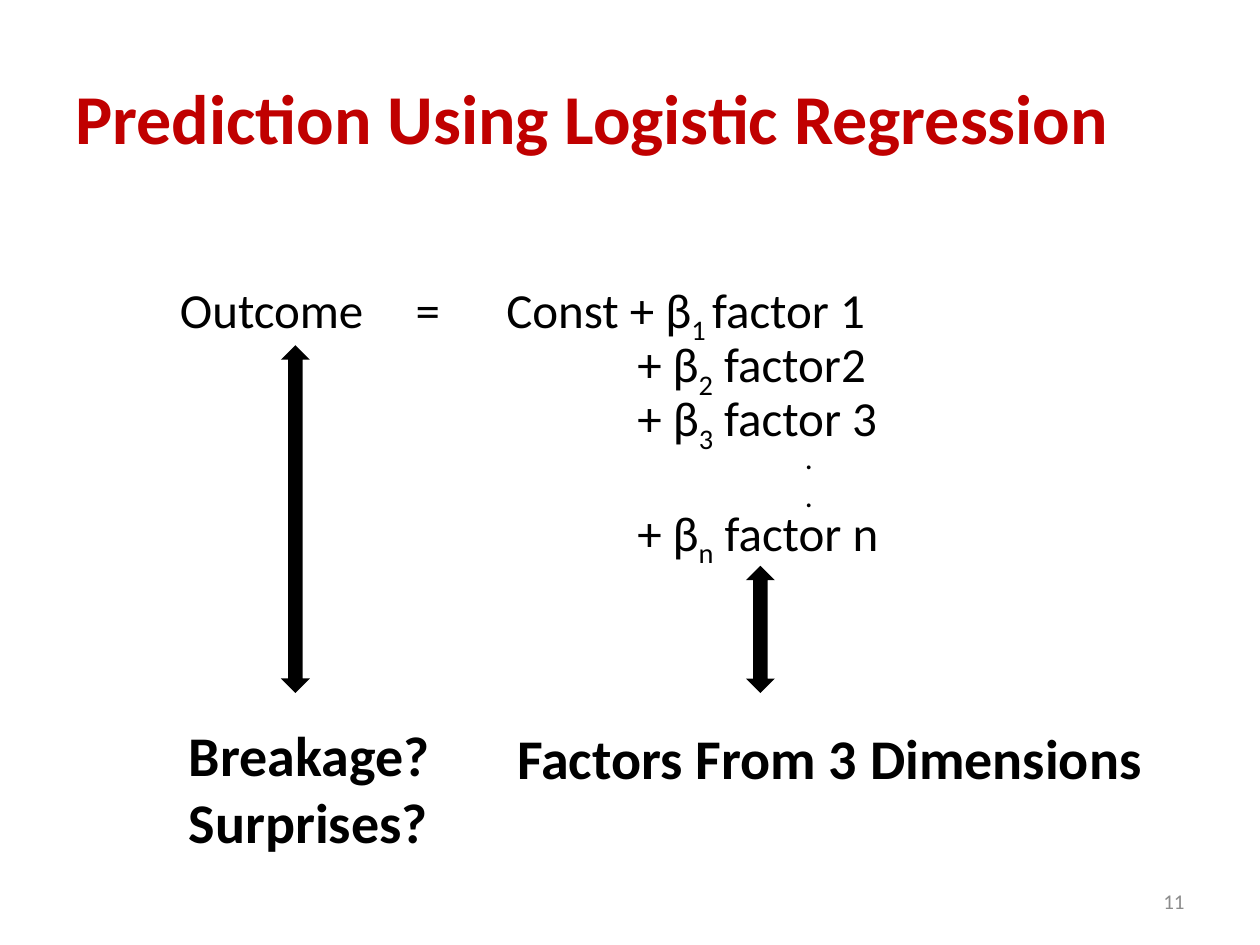
"""Build a slide that explains prediction with logistic regression."""
from dataclasses import dataclass

from lxml import etree
from pptx import Presentation
from pptx.dml.color import RGBColor
from pptx.enum.shapes import MSO_SHAPE
from pptx.enum.text import MSO_ANCHOR, MSO_AUTO_SIZE, PP_ALIGN
from pptx.oxml.ns import qn
from pptx.slide import Slide
from pptx.util import Inches, Pt

ARROW = MSO_SHAPE.UP_DOWN_ARROW
TOP, MIDDLE = MSO_ANCHOR.TOP, MSO_ANCHOR.MIDDLE
LEFT, CENTER, RIGHT = PP_ALIGN.LEFT, PP_ALIGN.CENTER, PP_ALIGN.RIGHT
FIT, FIXED = MSO_AUTO_SIZE.SHAPE_TO_FIT_TEXT, MSO_AUTO_SIZE.NONE
BLACK = RGBColor(0x00, 0x00, 0x00)
RED = RGBColor(0xC0, 0x00, 0x00)
GRAY = RGBColor(0x8C, 0x8C, 0x8C)
WIDTH, HEIGHT = Inches(10), Inches(7.5)
COLUMN, ROW = WIDTH / 100, HEIGHT / 75
SUBSCRIPT = "-25000"


@dataclass(frozen=True)
class Box:
    """Place on a grid of 100 columns and 75 rows."""
    left: float
    top: float
    width: float
    height: float

    def lengths(self) -> tuple[int, ...]:
        """Return the place in slide units."""
        return (round(self.left * COLUMN), round(self.top * ROW),
                round(self.width * COLUMN), round(self.height * ROW))


@dataclass(frozen=True)
class Label:
    """Text whose runs alternate between normal and subscript."""
    box: Box
    paragraphs: tuple[tuple[str, ...], ...]
    size: int = 28
    color: RGBColor = BLACK
    bold: bool = False
    alignment: PP_ALIGN = LEFT
    anchor: MSO_ANCHOR = TOP
    auto_size: MSO_AUTO_SIZE = FIT
    wrap: bool = False
    tabs: tuple[float, ...] = ()


def term(top: float, width: float, index: str, factor: str) -> Label:
    """Return one further term of the equation."""
    return Label(Box(49.6, top, width, 5.7), (("+ β", index, f" {factor}"),))


LABELS = (
    Label(Box(5, 3, 90, 12.5), (("Prediction Using Logistic Regression",),),
          size=40, color=RED, bold=True, anchor=MIDDLE, auto_size=FIXED, wrap=True),
    Label(Box(13.3, 21.7, 57.6, 5.7), (("Outcome\t=\tConst + β", "1 ", "factor 1"),),
          wrap=True, tabs=(18.7, 25.9)),
    term(26, 20.6, "2", "factor2"),
    term(30.3, 21.5, "3", "factor 3"),
    Label(Box(62.9, 34.3, 2.7, 7.1), ((".",), (".",)), size=18),
    term(39.4, 21.6, "n", "factor n"),
    Label(Box(14, 56.7, 21.3, 11.8), (("Breakage?",), ("Surprises?",)), size=32, bold=True),
    Label(Box(39.8, 56.9, 52.1, 6.4), (("Factors From 3 Dimensions",),),
          size=32, bold=True, alignment=CENTER),
    Label(Box(71.7, 69.5, 23.3, 4), (("11",),), size=12, color=GRAY,
          alignment=RIGHT, anchor=MIDDLE, auto_size=FIXED, wrap=True),
)
ARROWS = (Box(22.3, 27.4, 2.3, 27.6), Box(59.2, 44.9, 2.3, 10.1))


def draw_label(slide: Slide, label: Label) -> None:
    """Draw a text box with its paragraphs."""
    frame = slide.shapes.add_textbox(*label.box.lengths()).text_frame
    frame.word_wrap = label.wrap
    frame.auto_size = label.auto_size
    frame.vertical_anchor = label.anchor
    font_format = {"name": "Calibri", "size": Pt(label.size), "bold": label.bold}
    for number, texts in enumerate(label.paragraphs):
        paragraph = frame.add_paragraph() if number else frame.paragraphs[0]
        paragraph.alignment = label.alignment
        if label.tabs:
            properties = paragraph._p.get_or_add_pPr()
            tab_list = etree.SubElement(properties, qn("a:tabLst"))
            for tab in label.tabs:
                etree.SubElement(tab_list, qn("a:tab"), pos=str(round(tab * COLUMN)), algn="l")
        for position, text in enumerate(texts):
            run = paragraph.add_run()
            run.text = text
            for name, value in font_format.items():
                setattr(run.font, name, value)
            run.font.color.rgb = label.color
            if position % 2:
                run._r.get_or_add_rPr().set("baseline", SUBSCRIPT)


def draw_arrow(slide: Slide, box: Box) -> None:
    """Draw a black arrow that points up and down."""
    shape = slide.shapes.add_shape(ARROW, *box.lengths())
    shape.shadow.inherit = False
    shape.fill.solid()
    shape.fill.fore_color.rgb = BLACK
    shape.line.fill.background()


def main() -> None:
    """Build and save the presentation."""
    presentation = Presentation()
    presentation.slide_width, presentation.slide_height = WIDTH, HEIGHT
    slide = presentation.slides.add_slide(presentation.slide_layouts[6])
    for label in LABELS:
        draw_label(slide, label)
    for box in ARROWS:
        draw_arrow(slide, box)
    presentation.save("out.pptx")


if __name__ == "__main__":
    main()
